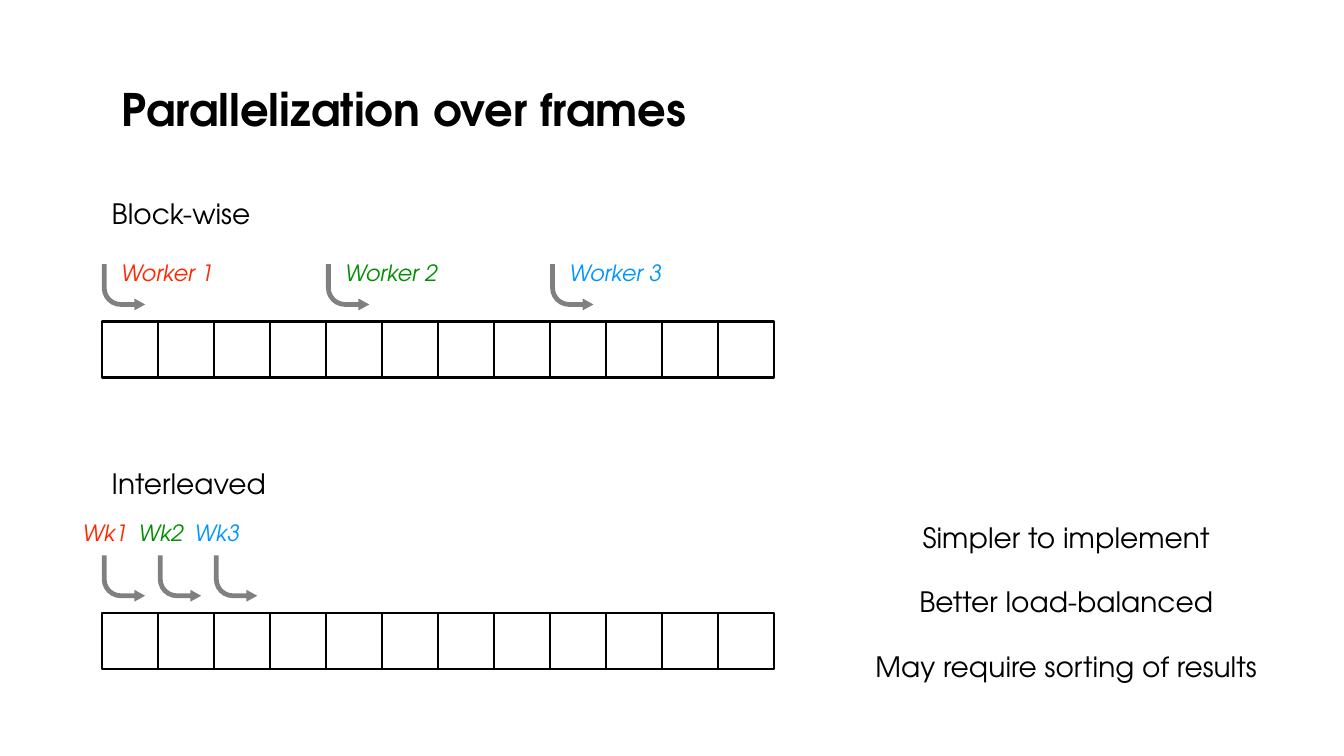
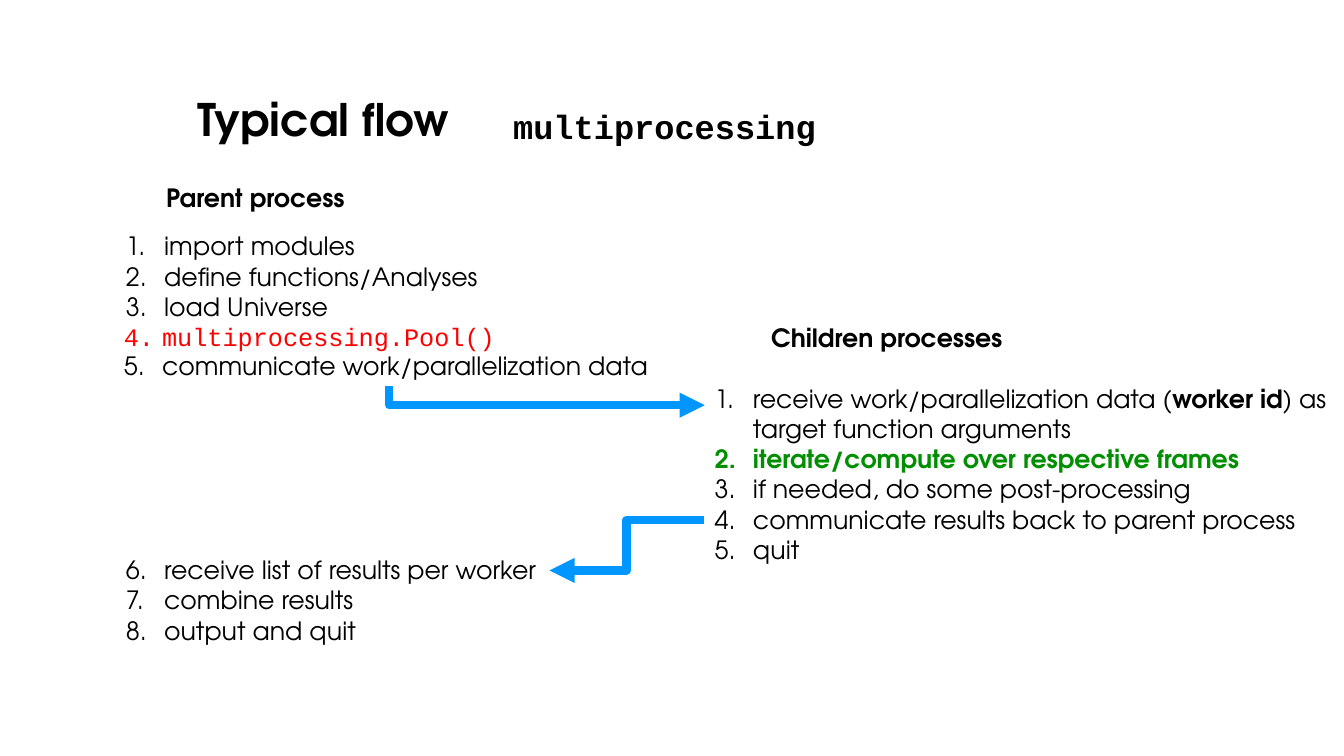
from lxml.etree import SubElement
from pptx import Presentation
from pptx.dml.color import RGBColor
from pptx.enum.shapes import MSO_CONNECTOR, MSO_SHAPE
from pptx.enum.text import MSO_ANCHOR, MSO_AUTO_SIZE, PP_ALIGN
from pptx.oxml.ns import qn
from pptx.util import Inches, Pt

SANS, MONO = "TeX Gyre Adventor", "Courier New"
BLACK = RGBColor(0x00, 0x00, 0x00)
WHITE = RGBColor(0xFF, 0xFF, 0xFF)
GRAY = RGBColor(0x80, 0x80, 0x80)
ORANGE = RGBColor(0xFF, 0x26, 0x00)
GREEN = RGBColor(0x00, 0x8F, 0x00)
BLUE = RGBColor(0x00, 0x96, 0xFF)
RED = RGBColor(0xFF, 0x00, 0x00)

# Slide 1: frames shared out among workers
WORKER_COLORS = [ORANGE, GREEN, BLUE]
FRAMES = 12
ROW_LEFT = Inches(1.01)
CELL = Inches(6.67) / FRAMES
# heading, heading top, label, label top, label offset, label width,
# label alignment, arrow top, row top, frames between workers
SCHEMES = [
    ("Block-wise", 1.9, "Worker {}", 2.52, 0.09, 1.74, PP_ALIGN.LEFT, 2.62, 3.19, 4),
    ("Interleaved", 4.58, "Wk{}", 5.1, -0.42, 0.9, PP_ALIGN.CENTER, 5.51, 6.08, 1),
]
ARROW_SHAPE = (0.111, 0.137, 0.25, 0.438)
REMARKS = ["Simpler to implement", "Better load-balanced", "May require sorting of results"]
REMARK_TOP, REMARK_STEP = 5.11, 0.64

# Slide 2: headings and numbered steps; a step is a list of (text, style) runs
HEADINGS = [("Parent process", 1.55, 1.76), ("Children processes", 7.55, 3.15)]
BOLD = {"bold": True}
# left, top, width, height, first number, steps
STEP_LISTS = [
    (1.15, 2.24, 3.71, 1.01, 1, [
        [("import modules", {})],
        [("define functions/Analyses", {})],
        [("load Universe", {})]]),
    (1.13, 3.14, 4.5, 0.4, 4, [
        [("multiprocessing.Pool()", {"font": MONO, "color": RED})]]),
    (1.13, 3.43, 5.7, 0.4, 5, [
        [("communicate work/parallelization data", {})]]),
    (6.99, 3.75, 6.27, 1.92, 1, [
        [("receive work/parallelization data (", {}), ("worker id", BOLD),
         (") as target function arguments", {})],
        [("iterate/compute over respective frames", {"color": GREEN, "bold": True})],
        [("if needed, do some post-processing", {})],
        [("communicate results back to parent process", {})],
        [("quit", {})]]),
    (1.15, 5.45, 5.52, 1.01, 6, [
        [("receive list of results per worker", {})],
        [("combine results", {})],
        [("output and quit", {})]]),
]


def style_run(r, size, font=SANS, color=BLACK, bold=False, italic=False):
    """Format one run."""
    r.font.name, r.font.size = font, Pt(size)
    r.font.bold, r.font.italic = bold, italic
    r.font.color.rgb = color


def add_slide(prs, title, left, top):
    """Add a title-only slide with its title in the shared style."""
    s = prs.slides.add_slide(prs.slide_layouts[5])
    sp = s.shapes.title
    sp.left, sp.top = Inches(left), Inches(top)
    sp.width, sp.height = Inches(5.98), Inches(0.64)
    tf = sp.text_frame
    tf.text = title
    tf.auto_size = MSO_AUTO_SIZE.SHAPE_TO_FIT_TEXT
    tf.vertical_anchor = MSO_ANCHOR.TOP
    p = tf.paragraphs[0]
    p.alignment = PP_ALIGN.LEFT
    style_run(p.runs[0], 32, bold=True)
    return s


def add_frame(s, left, top, width, height):
    """Add a wrapping text box and return its text frame."""
    tf = s.shapes.add_textbox(left, top, width, height).text_frame
    tf.word_wrap = True
    tf.auto_size = MSO_AUTO_SIZE.SHAPE_TO_FIT_TEXT
    return tf


def add_label(s, text, left, top, width, size, align=PP_ALIGN.LEFT, **style):
    """Add a single line of text."""
    p = add_frame(s, left, top, width, Pt(size * 1.2 + 7.2)).paragraphs[0]
    p.text = text
    p.alignment = align
    style_run(p.runs[0], size, **style)


def add_steps(s, left, top, width, height, first, steps):
    """Add an automatically numbered list."""
    tf = add_frame(s, *map(Inches, (left, top, width, height)))
    for i, step in enumerate(steps):
        p = tf.add_paragraph() if i else tf.paragraphs[0]
        pPr = p._p.get_or_add_pPr()
        pPr.set("marL", str(Inches(0.38)))
        pPr.set("indent", str(-Inches(0.38)))
        number = SubElement(pPr, qn("a:buAutoNum"), type="arabicPeriod")
        number.set("startAt", str(first))
        for text, style in step:
            r = p.add_run()
            r.text = text
            style_run(r, 18, **style)


def add_cells(s, top):
    """Draw one row of frames."""
    for i in range(FRAMES):
        sp = s.shapes.add_shape(MSO_SHAPE.RECTANGLE, int(ROW_LEFT + i * CELL),
                                Inches(top), int(CELL), int(CELL))
        sp.shadow.inherit = False
        sp.fill.solid()
        sp.fill.fore_color.rgb = WHITE
        sp.line.color.rgb = BLACK
        sp.line.width = Pt(1.5)


def add_start_arrow(s, left, top):
    """Draw the bent arrow that marks where a worker starts."""
    sp = s.shapes.add_shape(MSO_SHAPE.BENT_ARROW, left, Inches(top),
                            Inches(0.43), Inches(0.46))
    sp.shadow.inherit = False
    for i, value in enumerate(ARROW_SHAPE):
        sp.adjustments[i] = value
    sp.element.spPr.find(qn("a:xfrm")).set("flipV", "1")
    sp.fill.solid()
    sp.fill.fore_color.rgb = GRAY
    sp.line.fill.background()


def add_flow_arrow(s, x1, y1, x2, y2):
    """Draw a thick elbow connector with an arrowhead at its end."""
    c = s.shapes.add_connector(MSO_CONNECTOR.ELBOW, *map(Inches, (x1, y1, x2, y2)))
    c.line.color.rgb = BLUE
    c.line.width = Pt(6)
    SubElement(c.line._get_or_add_ln(), qn("a:tailEnd"), type="triangle")
    SubElement(c._element.spPr, qn("a:effectLst"))
    return c


def turn_single_bend(c):
    """Make a connector run down, then right, with one bend."""
    spPr = c._element.spPr
    spPr.find(qn("a:prstGeom")).set("prst", "bentConnector2")
    spPr.find(qn("a:xfrm")).set("rot", str(270 * 60000))


def build_frames_slide(prs):
    """Compare block-wise and interleaved work sharing."""
    s = add_slide(prs, "Parallelization over frames", 1.11, 0.76)
    for (heading, heading_top, label, label_top, offset, width, align,
         arrow_top, row_top, stride) in SCHEMES:
        add_cells(s, row_top)
        add_label(s, heading, ROW_LEFT, Inches(heading_top), Inches(1.74), 20)
        for i, color in enumerate(WORKER_COLORS):
            left = int(ROW_LEFT + i * stride * CELL)
            add_label(s, label.format(i + 1), left + Inches(offset), Inches(label_top),
                      Inches(width), 16, align, color=color, italic=True)
            add_start_arrow(s, left, arrow_top)
    for i, remark in enumerate(REMARKS):
        add_label(s, remark, Inches(8.34), Inches(REMARK_TOP + i * REMARK_STEP),
                  Inches(4.47), 20, PP_ALIGN.CENTER)


def build_flow_slide(prs):
    """Show the steps of the parent and child processes."""
    s = add_slide(prs, "Typical flow", 1.86, 0.86)
    s.shapes.title.width = Inches(2.75)
    add_label(s, "multiprocessing", Inches(4.96), Inches(1), Inches(3.26), 24,
              PP_ALIGN.CENTER, font=MONO, bold=True)
    for heading, left, top in HEADINGS:
        add_label(s, heading, Inches(left), Inches(top), Inches(2.7), 18, bold=True)
    for step_list in STEP_LISTS:
        add_steps(s, *step_list)
    # Given before its quarter turn, which lays it from (3.86, 3.83) to (6.99, 4.02)
    turn_single_bend(add_flow_arrow(s, 5.52, 2.36, 5.33, 5.49))
    add_flow_arrow(s, 6.98, 5.16, 5.45, 5.66)


prs = Presentation()
prs.slide_width, prs.slide_height = Inches(13.33), Inches(7.5)
build_frames_slide(prs)
build_flow_slide(prs)
prs.save("out.pptx")
